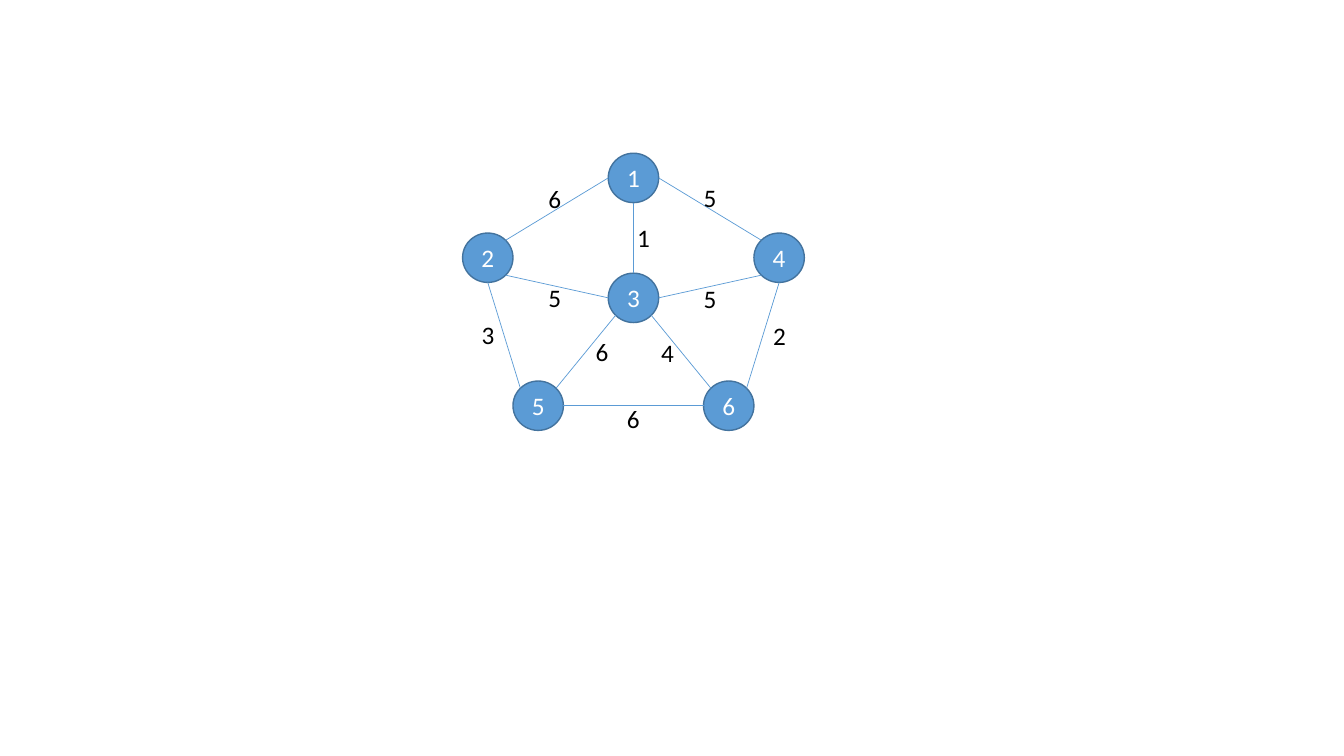
from math import hypot

from pptx import Presentation
from pptx.dml.color import RGBColor
from pptx.enum.shapes import MSO_CONNECTOR as Connector, MSO_SHAPE as Preset
from pptx.enum.text import MSO_ANCHOR as Anchor, MSO_AUTO_SIZE as AutoSize, PP_ALIGN as Align
from pptx.oxml.ns import qn
from pptx.util import Inches, Pt
from lxml.etree import SubElement

CELL = 0.1  # grid cell in inches; all lengths below count cells


def cells(count):
    return Inches(count * CELL)


def color(hex_text):
    return RGBColor.from_string(hex_text)


class GraphPage:
    FONT, SIZE = "Calibri", 18
    NODE_FILL, NODE_LINE, EDGE = "5B9BD5", "43739E", "5B9BD5"
    NODE_WIDTH, NODE_HEIGHT = 5, 4.9
    LABEL_WIDTH, LABEL_HEIGHT = 3.3, 4

    def __init__(self, deck):
        self.page = deck.slides.add_slide(deck.slide_layouts[6])

    def frame(self, center, width, height):
        column, row = center
        return [cells(n) for n in (column - width / 2, row - height / 2, width, height)]

    def set_text(self, box, text, ink, align):
        box.text_frame.text = text
        para = box.text_frame.paragraphs[0]
        para.alignment = align
        font = para.runs[0].font
        font.name, font.size = self.FONT, Pt(self.SIZE)
        font.color.rgb = color(ink)

    def node(self, name, center):
        frame = self.frame(center, self.NODE_WIDTH, self.NODE_HEIGHT)
        circle = self.page.shapes.add_shape(Preset.OVAL, *frame)
        circle.shadow.inherit = False
        circle.fill.solid()
        circle.fill.fore_color.rgb = color(self.NODE_FILL)
        circle.line.color.rgb = color(self.NODE_LINE)
        circle.line.width = Pt(1)
        circle.text_frame.vertical_anchor = Anchor.MIDDLE
        self.set_text(circle, name, "FFFFFF", Align.CENTER)

    def rim(self, center, side):
        """Point on a node's outline in the compass direction side."""
        across, down = side
        reach = hypot(across, down)
        return (cells(center[0] + self.NODE_WIDTH / 2 * across / reach),
                cells(center[1] + self.NODE_HEIGHT / 2 * down / reach))

    def edge(self, start, start_side, end, end_side):
        line = self.page.shapes.add_connector(
            Connector.STRAIGHT, *self.rim(start, start_side), *self.rim(end, end_side))
        line.line.color.rgb = color(self.EDGE)
        line.line.width = Pt(0.5)
        SubElement(line._element.spPr, qn("a:effectLst"))

    def label(self, text, center):
        box = self.page.shapes.add_textbox(
            *self.frame(center, self.LABEL_WIDTH, self.LABEL_HEIGHT))
        box.text_frame.word_wrap = False
        box.text_frame.auto_size = AutoSize.SHAPE_TO_FIT_TEXT
        self.set_text(box, text, "000000", Align.LEFT)


deck = Presentation()
deck.slide_width, deck.slide_height = Inches(13.33), Inches(7.5)
graph = GraphPage(deck)

# Nodes: a pentagon mirrored about one axis, with node 3 inside
AXIS, WIDE, NARROW = 62.83, 14.45, 9.45
UPPER, LOWER = 25.57, 40.25
NODES = {
    "1": (AXIS, 17.65),
    "3": (AXIS, 29.55),
    "4": (AXIS + WIDE, UPPER),
    "6": (AXIS + NARROW, LOWER),
    "5": (AXIS - NARROW, LOWER),
    "2": (AXIS - WIDE, UPPER),
}
for name, center in NODES.items():
    graph.node(name, center)

# Edges: start node and side, end node and side, weight, label center
N, S, W, E = (0, -1), (0, 1), (-1, 0), (1, 0)
NW, NE, SW, SE = (-1, -1), (1, -1), (-1, 1), (1, 1)
EDGES = [
    ("2", NE, "1", W, "6", (55.05, 19.7)),
    ("1", E, "4", NW, "5", (70.45, 19.6)),
    ("4", S, "6", NE, "2", (77.35, 33.3)),
    ("2", S, "5", NW, "3", (48.45, 33.2)),
    ("5", E, "6", W, "6", (62.85, 41.5)),
    ("1", S, "3", N, "1", (63.85, 23.6)),
    ("2", SE, "3", W, "5", (55.05, 29.5)),
    ("3", E, "4", SW, "5", (70.45, 29.6)),
    ("3", SE, "6", NW, "4", (66.25, 35)),
    ("3", SW, "5", NE, "6", (59.75, 34.9)),
]
for start, start_side, end, end_side, *_ in EDGES:
    graph.edge(NODES[start], start_side, NODES[end], end_side)

# Weights on top of the edges
for *_, weight, center in EDGES:
    graph.label(weight, center)

deck.save("out.pptx")
